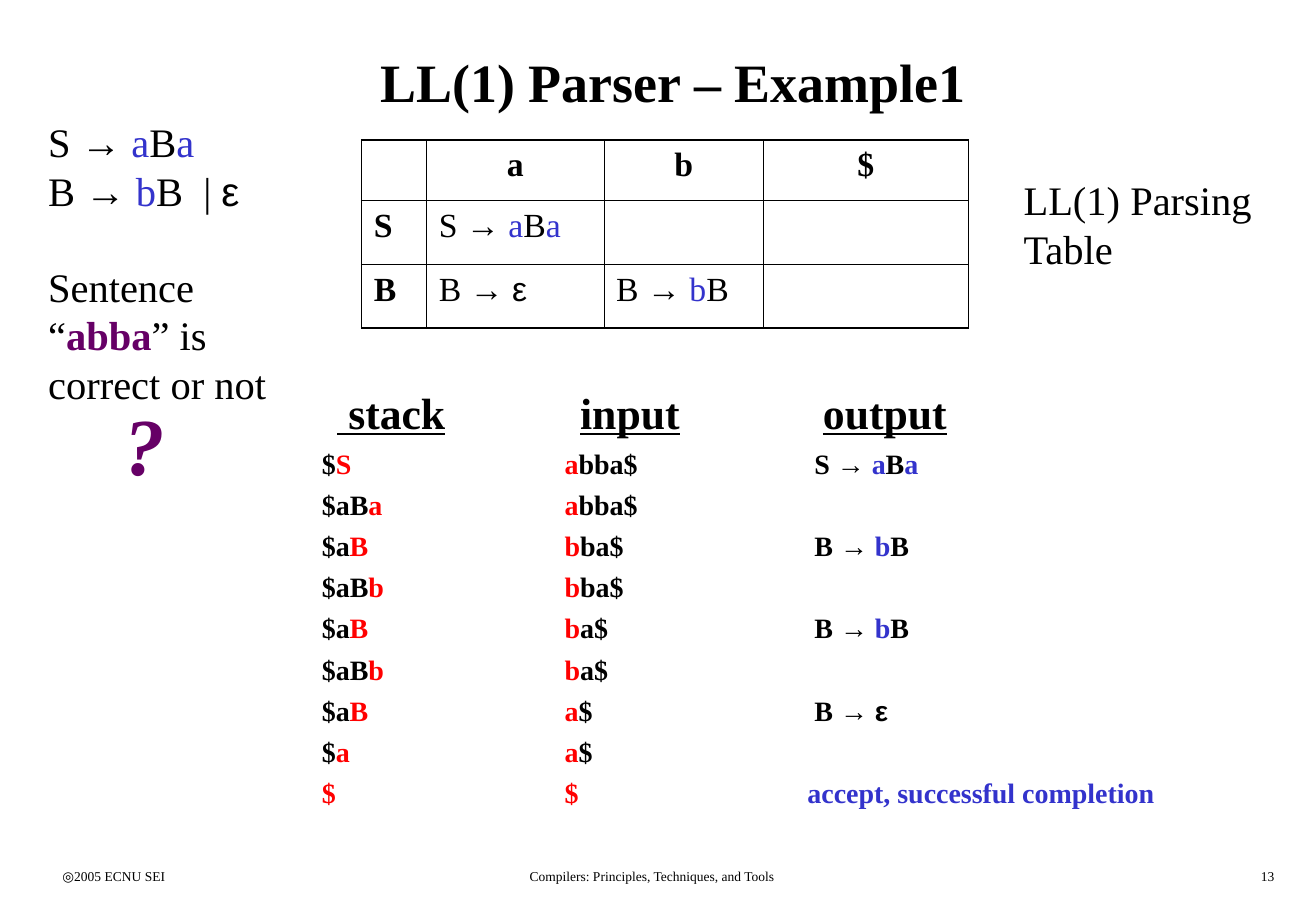
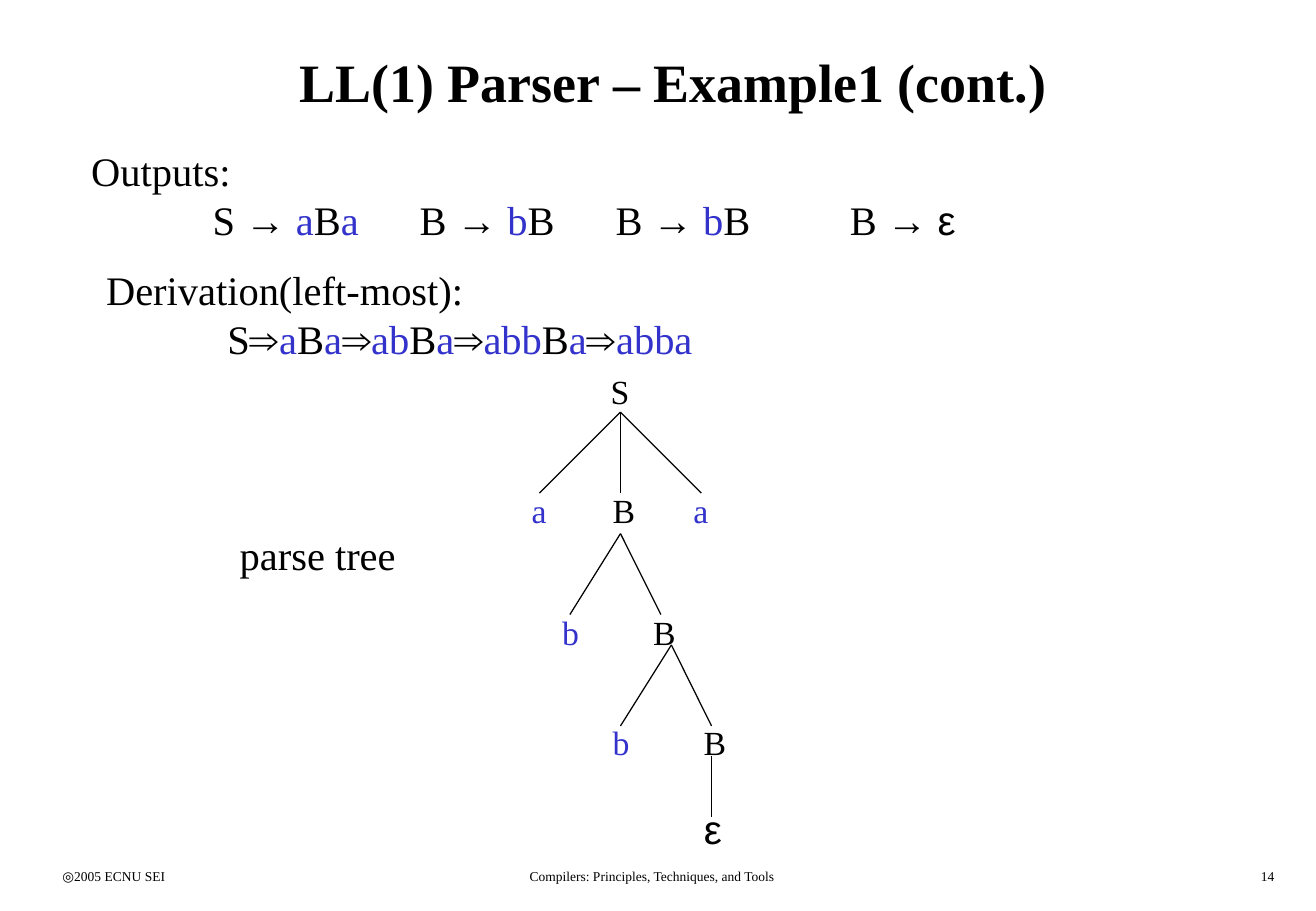
"""Builds two slides that work through an LL(1) parser example."""
from itertools import groupby

from lxml.etree import SubElement
from pptx import Presentation
from pptx.dml.color import RGBColor
from pptx.enum.shapes import MSO_CONNECTOR as Connector
from pptx.enum.text import MSO_ANCHOR as Anchor, PP_ALIGN as Align
from pptx.oxml import parse_xml
from pptx.oxml.ns import nsdecls, qn
from pptx.util import Pt

BLACK = RGBColor(0x00, 0x00, 0x00)
WHITE = RGBColor(0xFF, 0xFF, 0xFF)
BLUE = RGBColor(0x33, 0x33, 0xCC)
RED = RGBColor(0xFF, 0x00, 0x00)
PURPLE = RGBColor(0x66, 0x00, 0x66)
SERIF, SANS = "Times New Roman", "Arial"
SYMBOLS = "→⇒ε"
OPENERS = {"{": BLUE, "<": RED, "[": PURPLE}
CLOSERS = "}>]"
LINE_HEIGHT = 1.2
THIN, THICK = 0.45, 1.08


def split_runs(text, base):
    """Yield text, colour and font for each run of marked text."""
    colour, styled = base, []
    for character in text:
        if character in OPENERS:
            colour = OPENERS[character]
        elif character in CLOSERS:
            colour = base
        else:
            font = SANS if character in SYMBOLS else SERIF
            styled.append((character, colour, font))
    for style, group in groupby(styled, key=lambda item: item[1:]):
        yield "".join(item[0] for item in group), *style


def write(paragraph, text, size=24, colour=BLACK, bold=False, italic=False,
          underline=False, align=Align.LEFT, before=0, tabs=(), spacing=LINE_HEIGHT):
    """Fill a paragraph; {..} is blue, <..> red and [..] bold purple."""
    if tabs:
        tab_list = SubElement(paragraph._p.get_or_add_pPr(), qn("a:tabLst"))
        for position in tabs:
            SubElement(tab_list, qn("a:tab"), pos=str(int(Pt(position))), algn="l")
    paragraph.alignment = align
    paragraph.line_spacing = Pt(round(size * spacing, 1))
    paragraph.space_before = Pt(before)
    for piece, run_colour, font_name in split_runs(text, colour):
        run = paragraph.add_run()
        run.text = piece
        font = run.font
        font.name, font.size = font_name, Pt(size)
        font.bold = bold or run_colour == PURPLE
        font.italic = italic
        font.underline = underline
        font.color.rgb = run_colour


class Deck:
    """Holds the shared style and the slide being filled."""

    def __init__(self, presentation):
        """Keep the presentation that receives the slides."""
        self.presentation = presentation
        self.slide = None

    def add_slide(self, title, number):
        """Add a slide with its title and footer."""
        self.slide = self.presentation.slides.add_slide(self.presentation.slide_layouts[6])
        fill = self.slide.background.fill
        fill.solid()
        fill.fore_color.rgb = WHITE
        footer = [
            (30, 163, "◎2005 ECNU SEI", Align.LEFT),
            (240.8, 292, "Compilers: Principles, Techniques, and Tools", Align.CENTER),
            (600, 163, str(number), Align.RIGHT),
        ]
        for left, width, text, align in footer:
            self.text(left, 511, width, 18, [text], size=8, align=align)
        self.text(30.4, 12, 738, 72, [title], anchor=Anchor.MIDDLE, size=32,
                  bold=True, align=Align.CENTER)

    def text(self, left, top, width, height, lines, anchor=Anchor.TOP, wrap=True,
             before=0, **style):
        """Add a text box with one paragraph for each line."""
        box = self.slide.shapes.add_textbox(Pt(left), Pt(top), Pt(width), Pt(height))
        frame = box.text_frame
        frame.word_wrap = wrap
        frame.vertical_anchor = anchor
        for index, line in enumerate(lines):
            paragraph = frame.add_paragraph() if index else frame.paragraphs[0]
            write(paragraph, line, before=before if index else 0, **style)

    def line(self, start, end):
        """Add a thin straight line between two points."""
        connector = self.slide.shapes.add_connector(
            Connector.STRAIGHT, *(Pt(value) for value in (*start, *end)))
        connector.line.width = Pt(0.75)
        connector.line.color.rgb = BLACK
        SubElement(connector._element.spPr, qn("a:effectLst"))

    def table(self, left, top, widths, heights, rows):
        """Add a ruled table with bold headings in its first row and column."""
        frame = self.slide.shapes.add_table(
            len(rows), len(widths), Pt(left), Pt(top), Pt(sum(widths)), Pt(sum(heights)))
        table = frame.table
        table.first_row = table.horz_banding = False
        for column, width in zip(table.columns, widths):
            column.width = Pt(width)
        last_row, last_column = len(rows) - 1, len(widths) - 1
        for r, texts in enumerate(rows):
            table.rows[r].height = Pt(heights[r])
            for c, text in enumerate(texts):
                cell = table.cell(r, c)
                cell.fill.background()
                self.borders(cell, L=c == 0, R=c == last_column, T=r == 0, B=r == last_row)
                write(cell.text_frame.paragraphs[0], text, size=20, spacing=1.11,
                      bold=r == 0 or c == 0, align=Align.LEFT if r else Align.CENTER)

    def borders(self, cell, **outer_sides):
        """Rule the four sides of a cell, thicker on the outside."""
        properties = cell._tc.get_or_add_tcPr()
        for index, (side, outer) in enumerate(outer_sides.items()):
            width = int(Pt(THICK if outer else THIN))
            properties.insert(index, parse_xml(
                f'<a:ln{side} {nsdecls("a")} w="{width}"><a:solidFill>'
                f'<a:srgbClr val="{BLACK}"/></a:solidFill></a:ln{side}>'))


def build_parser_slide(deck):
    """Show the grammar, the parsing table and the trace."""
    deck.add_slide("LL(1) Parser – Example1", 13)
    deck.text(193, 225, 520, 38, [" stack\tinput\toutput"],
              size=25.9, bold=True, underline=True, tabs=(144, 288))
    trace = [
        "$<S>\t<a>bba$\t S → {a}B{a}",
        "$aB<a>\t<a>bba$",
        "$a<B>\t<b>ba$\t B → {b}B",
        "$aB<b>\t<b>ba$",
        "$a<B>\t<b>a$\t B → {b}B",
        "$aB<b>\t<b>a$",
        "$a<B>\t<a>$\t B → ε",
        "$<a>\t<a>$",
        "<$>\t<$>\t{accept, successful completion}",
    ]
    deck.text(183.8, 261, 540, 228, trace, size=16.6, bold=True, before=4.5,
              tabs=(144, 288))
    deck.table(214.5, 83, (38.6, 105.2, 94.4, 121.8), (36, 38, 37.6), [
        ("", "a", "b", "$"),
        ("S", "S → {a}B{a}", "", ""),
        ("B", "B → ε", "B → {b}B", ""),
    ])
    deck.text(67, 230.5, 40, 65, ["?"], size=48, colour=PURPLE, bold=True, italic=True)
    deck.text(21.5, 151.5, 148, 94, ["Sentence “[abba]” is", "correct or not"])
    deck.text(21.5, 66, 152, 65, ["S → {a}B{a}", "B → {b}B\t| ε"], tabs=(92,))
    deck.text(600, 100.4, 160, 65, ["LL(1) Parsing Table"])


def build_derivation_slide(deck):
    """Show the outputs, the derivation and the parse tree."""
    deck.add_slide("LL(1) Parser – Example1 (cont.)", 14)
    deck.text(47, 83.2, 590, 65,
              ["Outputs:", "\tS → {a}B{a}\tB → {b}B\tB → {b}B\tB → ε"],
              tabs=(72, 194.8, 311, 450))
    deck.text(55.8, 153.5, 370, 65,
              ["Derivation(left-most):", "\tS⇒{a}B{a}⇒{ab}B{a}⇒{abb}B{a}⇒{abba}"],
              tabs=(72,))
    branches = [
        ((368, 244.3), 292.3, (320, 416, 368)),
        ((368, 316.3), 364.3, (338, 392)),
        ((398.2, 382.3), 430.3, (368, 422)),
        ((422, 448.3), 484.3, (422,)),
    ]
    for parent, child_top, child_lefts in branches:
        for child_left in child_lefts:
            deck.line(parent, (child_left, child_top))
    levels = [
        (216, {355: "S"}),
        (286.5, {308.2: "{a}", 356.2: "B", 404.2: "{a}"}),
        (358.8, {326.3: "{b}", 380.3: "B"}),
        (424.5, {356.2: "{b}", 410.2: "B"}),
    ]
    for top, nodes in levels:
        for left, label in nodes.items():
            deck.text(left, top, 27, 32, [label], wrap=False, size=20)
    deck.text(410.4, 473, 25, 36, ["ε"], wrap=False)
    deck.text(135, 310.5, 107, 36, ["parse tree"], wrap=False)


def main():
    """Build both slides and save the file."""
    presentation = Presentation()
    presentation.slide_width = Pt(780.48)
    presentation.slide_height = Pt(540)
    deck = Deck(presentation)
    build_parser_slide(deck)
    build_derivation_slide(deck)
    presentation.save("out.pptx")


if __name__ == "__main__":
    main()
